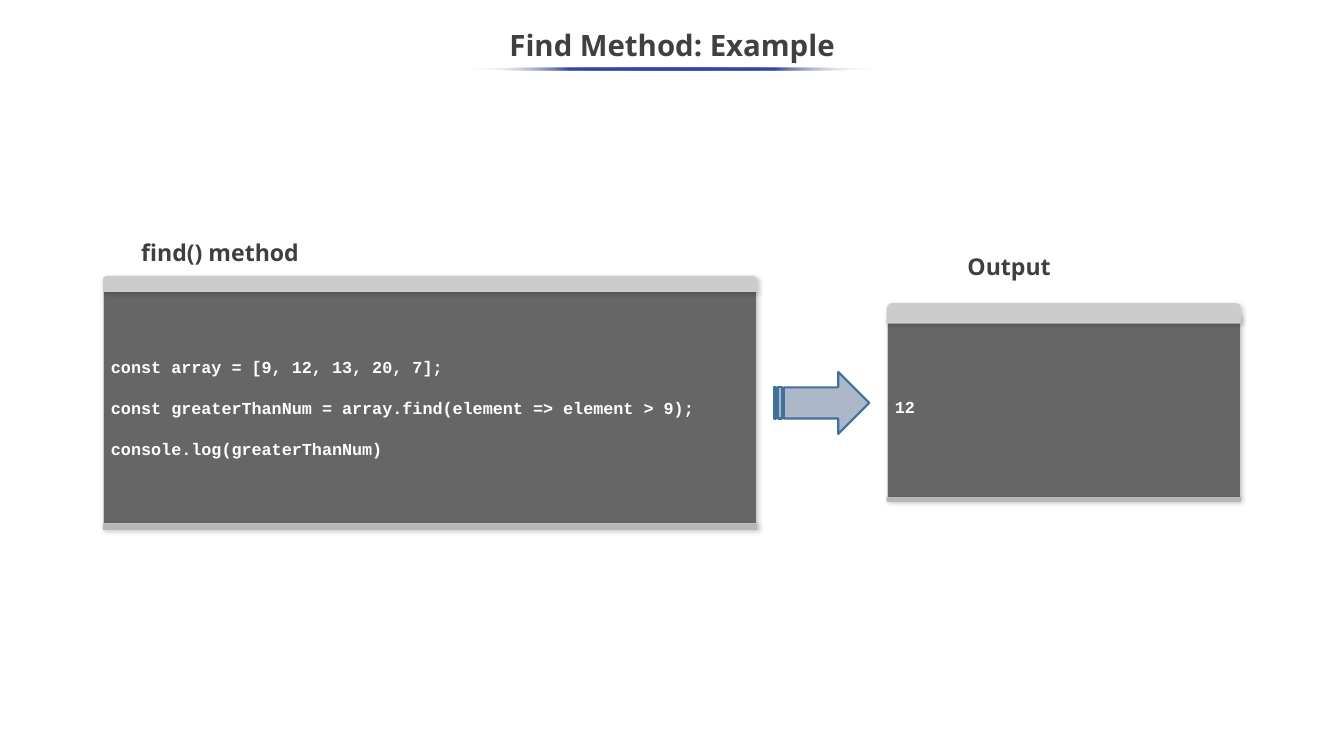
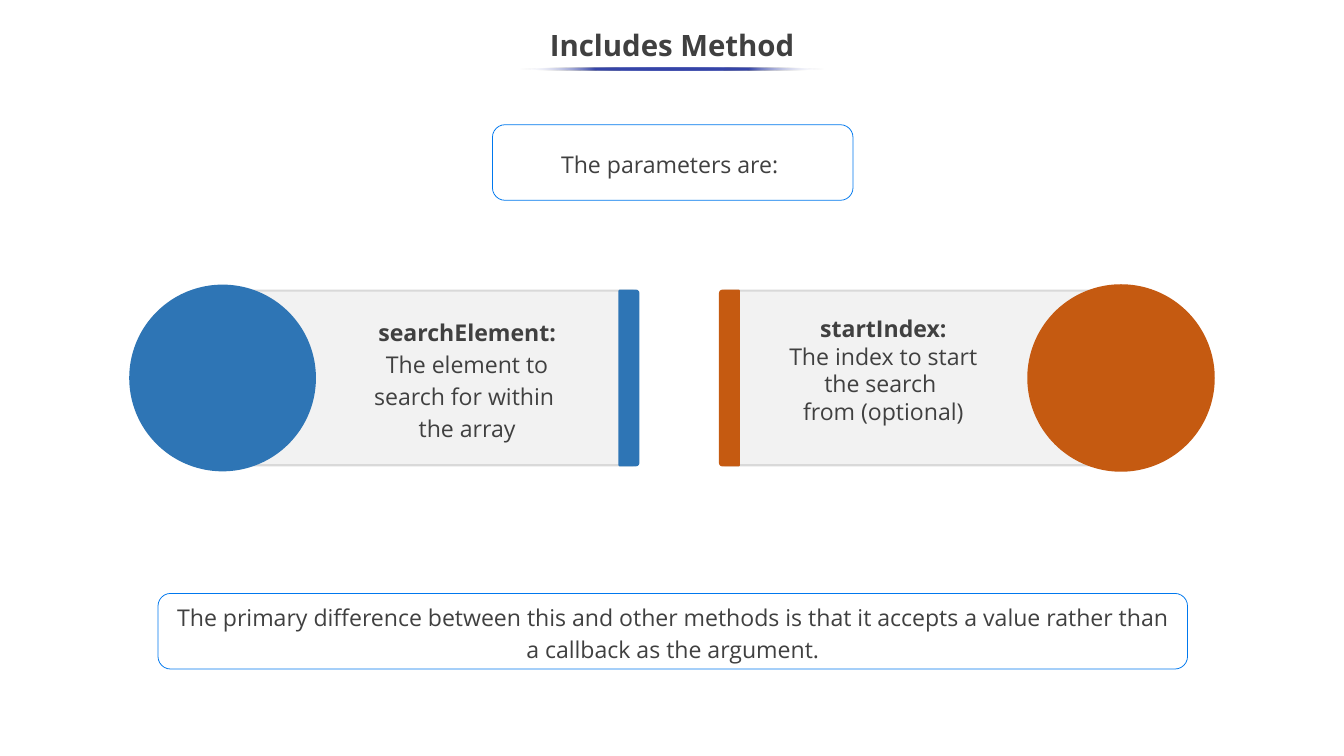
from pptx import Presentation
from pptx.dml.color import RGBColor
from pptx.enum.shapes import MSO_SHAPE
from pptx.enum.text import MSO_ANCHOR, PP_ALIGN
from pptx.oxml import parse_xml
from pptx.oxml.ns import nsdecls, qn
from pptx.util import Inches, Pt

RECT = MSO_SHAPE.RECTANGLE
ROUND_RECT = MSO_SHAPE.ROUNDED_RECTANGLE
ROUND_TOP = MSO_SHAPE.ROUND_2_SAME_RECTANGLE
OVAL = MSO_SHAPE.OVAL
ARROW = MSO_SHAPE.STRIPED_RIGHT_ARROW
LEFT, CENTER = PP_ALIGN.LEFT, PP_ALIGN.CENTER
TOP, MIDDLE = MSO_ANCHOR.TOP, MSO_ANCHOR.MIDDLE

SLIDE_WIDTH, SLIDE_HEIGHT = 17.78, 10
BODY_FONT, CODE_FONT = "Open Sans", "Courier New"
COLORS = {
    "white": "FFFFFF", "text": "404040", "label": "3F3F3F", "underline": "3645A9",
    "screen": "666666", "lid": "CCCCCC", "base": "B7B7B7",
    "arrow": "ACB8CA", "arrow_line": "42719B",
    "card": "F2F2F2", "card_line": "D9D9D9",
    "blue": "2E75B5", "orange": "C55A11", "callout": "0078EE",
}


def rgb(name):
    return RGBColor.from_string(COLORS[name])


def write(shape, paragraphs, font=BODY_FONT, size=22, color="text", bold=False,
          align=CENTER, anchor=MIDDLE, spacing=1.0, gap=0, after=0, inset=0.05):
    """Fill a shape with paragraphs: each a string or a list of (text, bold) lines."""
    frame = shape.text_frame
    frame.word_wrap = True
    frame.vertical_anchor = anchor
    frame.margin_left = frame.margin_right = Inches(0.1)
    frame.margin_top = frame.margin_bottom = Inches(inset)
    for index, lines in enumerate(paragraphs):
        para = frame.add_paragraph() if index else frame.paragraphs[0]
        para.alignment = align
        para.line_spacing = spacing
        para.space_before = Pt(gap if index else 0)
        para.space_after = Pt(after)
        if isinstance(lines, str):
            lines = [(lines, bold)]
        for number, (text, heavy) in enumerate(lines):
            if number:
                para.add_line_break()
            span = para.add_run()
            span.text = text
            span.font.name = font
            span.font.size = Pt(size)
            span.font.bold = heavy
            span.font.color.rgb = rgb(color)


class Deck:
    def __init__(self):
        self.file = Presentation()
        self.file.slide_width = Inches(SLIDE_WIDTH)
        self.file.slide_height = Inches(SLIDE_HEIGHT)
        self.page = None

    def new_page(self, title, underline_width):
        self.page = self.file.slides.add_slide(self.file.slide_layouts[6])
        self.text(0, 0.25, SLIDE_WIDTH, 0.75, [title], size=28, bold=True, spacing=0.9)
        left = (SLIDE_WIDTH - underline_width) / 2
        underline = self.shape(OVAL, left, 0.89, underline_width, 0.04)
        self.fade_ends(underline)

    def fade_ends(self, shape):
        """Give a shape a gradient that is clear at both ends."""
        shape.fill.gradient()
        shape.fill.gradient_angle = 180
        stops = shape.element.spPr.find(qn("a:gradFill")).find(qn("a:gsLst"))
        for stop in list(stops):
            stops.remove(stop)
        for percent in (0, 25, 50, 75, 100):
            clear = percent in (0, 100)
            color = COLORS["white" if clear else "underline"]
            alpha = 0 if clear else 100
            stops.append(parse_xml(
                f'<a:gs {nsdecls("a")} pos="{percent * 1000}"><a:srgbClr val="{color}">'
                f'<a:alpha val="{alpha * 1000}"/></a:srgbClr></a:gs>'))

    def text(self, left, top, width, height, paragraphs, **style):
        box = self.page.shapes.add_textbox(
            Inches(left), Inches(top), Inches(width), Inches(height))
        write(box, paragraphs, **style)

    def shape(self, kind, left, top, width, height, fill=None, line=None, weight=2,
              adjust=(), rotation=0, shadow=False):
        shape = self.page.shapes.add_shape(
            kind, Inches(left), Inches(top), Inches(width), Inches(height))
        for index, value in enumerate(adjust):
            shape.adjustments[index] = value
        shape.rotation = rotation
        if fill:
            shape.fill.solid()
            shape.fill.fore_color.rgb = rgb(fill)
        else:
            shape.fill.background()
        if line:
            shape.line.color.rgb = rgb(line)
            shape.line.width = Pt(weight)
        else:
            shape.line.fill.background()
        shape.shadow.inherit = False
        if shadow:
            effects = shape.element.spPr.find(qn("a:effectLst"))
            effects.append(parse_xml(
                f'<a:outerShdw {nsdecls("a")} blurRad="{Pt(4.5)}" dist="{Pt(1.5)}" '
                f'dir="{47 * 60000}" algn="tl" rotWithShape="0">'
                '<a:srgbClr val="000000"><a:alpha val="20000"/></a:srgbClr></a:outerShdw>'))
        return shape

    def code_window(self, left, width, lid_top, lid_height, top, bottom, base_height, code):
        screen = self.shape(RECT, left + 0.01, top, width - 0.02, bottom - top,
                            "screen", "lid", 0.75, shadow=True)
        write(screen, code, font=CODE_FONT, size=16, color="white", bold=True,
              align=LEFT, gap=20, inset=0.1)
        self.shape(ROUND_TOP, left, lid_top, width, lid_height, "lid",
                   adjust=(0.275, 0), shadow=True)
        self.shape(RECT, left, bottom, width, base_height, "base", shadow=True)

    def parameter_card(self, left, bar_center, bar_turn, circle_left, diameter, color,
                       text_left, text_width, lines, spacing):
        middle, height, bar = 5, 2.31, 0.25
        self.shape(ROUND_RECT, left, middle - height / 2, 5.68, height,
                   "card", "card_line", adjust=(0.027,))
        self.shape(ROUND_TOP, bar_center - height / 2, middle - bar / 2, height, bar,
                   color, color, adjust=(0.125, 0), rotation=bar_turn)
        self.shape(OVAL, circle_left, middle - diameter / 2, diameter, diameter, color)
        self.text(text_left, 4.11, text_width, 1.78, [lines], anchor=TOP, spacing=spacing)

    def callout(self, top, width, text):
        left = (SLIDE_WIDTH - width) / 2 + 0.01
        box = self.shape(ROUND_RECT, left, top, width, 1, line="callout", weight=0.75)
        write(box, [text], spacing=1.15, inset=0)


def find_example(deck):
    deck.new_page("Find Method: Example", 5.38)
    deck.code_window(11.73, 4.69, 4.01, 0.27, 4.17, 6.58, 0.06, ["12"])
    deck.text(1.77, 3.11, 13.93, 0.47, ["find() method"], color="label", bold=True,
              align=LEFT, anchor=TOP)
    deck.code_window(1.36, 8.66, 3.65, 0.21, 3.85, 6.93, 0.08, [
        "const array = [9, 12, 13, 20, 7];",
        "const greaterThanNum = array.find(element => element > 9);",
        "console.log(greaterThanNum)",
    ])
    deck.text(12.58, 3, 1.54, 1.08, ["Output"], color="label", bold=True,
              spacing=0.9, after=7.7)
    deck.shape(ARROW, 10.24, 4.92, 1.26, 0.82, "arrow", "arrow_line", adjust=(0.5, 0.5))


def includes_method(deck):
    deck.new_page("Includes Method", 4.04)
    deck.parameter_card(2.75, 8.32, 90, 1.71, 2.47, "blue", 4.56, 3.24, [
        ("searchElement:", True),
        ("The element to search for within ", False),
        ("the array", False),
    ], 1.15)
    deck.parameter_card(9.53, 9.65, 270, 13.59, 2.48, "orange", 10.13, 3.11, [
        ("startIndex:", True),
        ("The index to start the search ", False),
        ("from (optional)", False),
    ], 1.0)
    deck.callout(7.85, 13.62, "The primary difference between this and other methods is that "
                 "it accepts a value rather than a callback as the argument.")
    deck.callout(1.65, 4.77, "The parameters are: ")


def main():
    deck = Deck()
    find_example(deck)
    includes_method(deck)
    deck.file.save("out.pptx")


if __name__ == "__main__":
    main()
